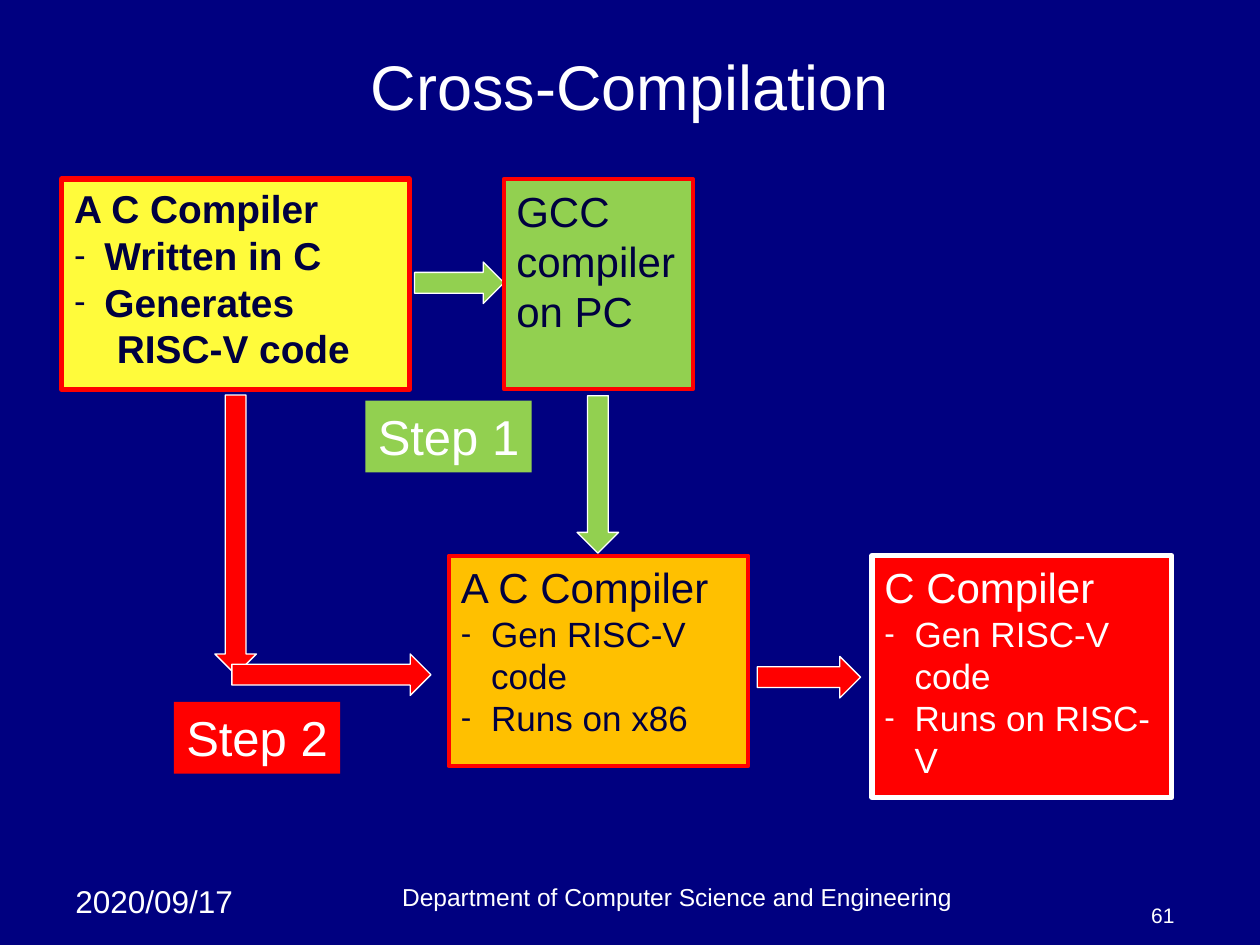
from dataclasses import dataclass
from typing import Optional

from lxml.etree import SubElement
from pptx import Presentation
from pptx.dml.color import RGBColor
from pptx.enum.shapes import MSO_SHAPE
from pptx.enum.text import MSO_ANCHOR, PP_ALIGN
from pptx.oxml.ns import qn
from pptx.util import Inches, Pt

HUES = {
    "navy": "000080", "ink": "000040", "white": "FFFFFF", "yellow": "FFFB3B",
    "green": "92D050", "amber": "FFC000", "red": "FF0000",
}


@dataclass
class Line:
    text: str
    size: float
    dash: bool = False
    inset: float = 0


@dataclass
class Box:
    place: tuple
    lines: list
    fill: Optional[str] = None
    edge: Optional[str] = None
    width: float = 0
    ink: str = "white"
    bold: bool = False
    align: PP_ALIGN = PP_ALIGN.LEFT
    anchor: MSO_ANCHOR = MSO_ANCHOR.TOP
    wrap: bool = True


@dataclass
class Arrow:
    place: tuple
    fill: str
    turn: int = 0


def hue(name: str) -> RGBColor:
    """Return the named colour."""
    return RGBColor.from_string(HUES[name])


def apply(target, form: dict) -> None:
    """Set each format value on the target."""
    for key, value in form.items():
        setattr(target, key, value)


def paint(shape, fill: Optional[str], edge: Optional[str], width: float) -> None:
    """Give a shape its fill and outline."""
    shape.shadow.inherit = False
    for part, name in ((shape.fill, fill), (shape.line.fill, edge)):
        if name:
            part.solid()
            part.fore_color.rgb = hue(name)
        else:
            part.background()
    if edge:
        shape.line.width = Pt(width)


def indent(para, left: float, dash: Optional[str] = None) -> None:
    """Indent a paragraph, with a hanging dash in the given colour if any."""
    props = para._p.get_or_add_pPr()
    props.set("marL", str(Inches(left)))
    if dash:
        props.set("indent", str(-Inches(left)))
        tint = SubElement(props, qn("a:buClr"))
        SubElement(tint, qn("a:srgbClr"), val=HUES[dash])
        SubElement(props, qn("a:buSzPct"), val="90000")
        SubElement(props, qn("a:buFont"), typeface="Arial")
        SubElement(props, qn("a:buChar"), char="-")


def write(frame, box: Box) -> None:
    """Fill a text frame with the lines of a box."""
    apply(frame, {
        "word_wrap": box.wrap, "vertical_anchor": box.anchor,
        "margin_left": Inches(0.1), "margin_right": Inches(0.1),
        "margin_top": Inches(0.05), "margin_bottom": Inches(0.05),
    })
    for spot, line in enumerate(box.lines):
        para = frame.add_paragraph() if spot else frame.paragraphs[0]
        para.alignment = box.align
        if line.dash:
            indent(para, 0.24, box.ink)
        elif line.inset:
            indent(para, line.inset)
        run = para.add_run()
        run.text = line.text
        apply(run.font, {"name": "Arial", "size": Pt(line.size), "bold": box.bold})
        run.font.color.rgb = hue(box.ink)


def draw_box(slide, box: Box) -> None:
    """Draw a filled box or a plain text box."""
    place = [Inches(n) for n in box.place]
    if box.fill:
        shape = slide.shapes.add_shape(MSO_SHAPE.RECTANGLE, *place)
        paint(shape, box.fill, box.edge, box.width)
    else:
        shape = slide.shapes.add_textbox(*place)
    write(shape.text_frame, box)


def draw_arrow(slide, arrow: Arrow) -> None:
    """Draw a block arrow, turned by its angle."""
    place = [Inches(n) for n in arrow.place]
    shape = slide.shapes.add_shape(MSO_SHAPE.RIGHT_ARROW, *place)
    shape.rotation = arrow.turn
    paint(shape, arrow.fill, "white", 0.75)


def output(last: str) -> list:
    """Return the lines about a compiler and where it runs."""
    return [Line("Gen RISC-V code", 20, True), Line(last, 20, True)]


MID, LOW = MSO_ANCHOR.MIDDLE, MSO_ANCHOR.BOTTOM
ITEMS = [
    Box((0.5, 6.95, 1.58, 0.4), [Line("2020/09/17", 18)]),
    Box((2, 6.95, 6.75, 0.33),
        [Line("Department of Computer Science and Engineering", 14)],
        align=PP_ALIGN.CENTER, anchor=LOW),
    Box((8.75, 7.08, 0.67, 0.33), [Line("61", 12)], align=PP_ALIGN.RIGHT, anchor=LOW),
    Box((0.5, 0.3, 9, 0.75), [Line("Cross-Compilation", 36)],
        align=PP_ALIGN.CENTER, anchor=MID),
    Box((0.49, 1.42, 2.76, 1.67),
        [Line("A C Compiler", 22.2), Line("Written in C", 22.2, True),
         Line("Generates", 22.2, True), Line("RISC-V code", 22.2, inset=0.34)],
        "yellow", "red", 3, "ink", True),
    Arrow((3.29, 2.08, 0.71, 0.33), "green"),
    Arrow((4.12, 3.6, 1.25, 0.33), "green", 90),
    Box((4, 1.42, 1.5, 1.67), [Line("GCC compiler", 24), Line("on PC", 24)],
        "green", "red", 2.25, "ink"),
    Box((3.56, 4.41, 2.38, 1.67), [Line("A C Compiler", 24), *output("Runs on x86")],
        "amber", "red", 2.25, "ink"),
    Arrow((0.76, 4.08, 2.22, 0.33), "red", 90),
    Arrow((1.84, 5.19, 1.58, 0.33), "red"),
    Arrow((6.01, 5.21, 0.82, 0.33), "red"),
    Box((6.92, 4.41, 2.38, 1.92), [Line("C Compiler", 24), *output("Runs on RISC-V")],
        "red", "white", 3),
    Box((2.9, 3.18, 1.32, 0.57), [Line("Step 1", 28)], "green", wrap=False),
    Box((1.38, 5.57, 1.32, 0.57), [Line("Step 2", 28)], "red", wrap=False),
]


def main() -> None:
    """Build the slide and save it."""
    deck = Presentation()
    apply(deck, {"slide_width": Inches(10), "slide_height": Inches(7.5)})
    slide = deck.slides.add_slide(deck.slide_layouts[6])
    slide.background.fill.solid()
    slide.background.fill.fore_color.rgb = hue("navy")
    for item in ITEMS:
        if isinstance(item, Arrow):
            draw_arrow(slide, item)
        else:
            draw_box(slide, item)
    deck.save("out.pptx")


if __name__ == "__main__":
    main()
